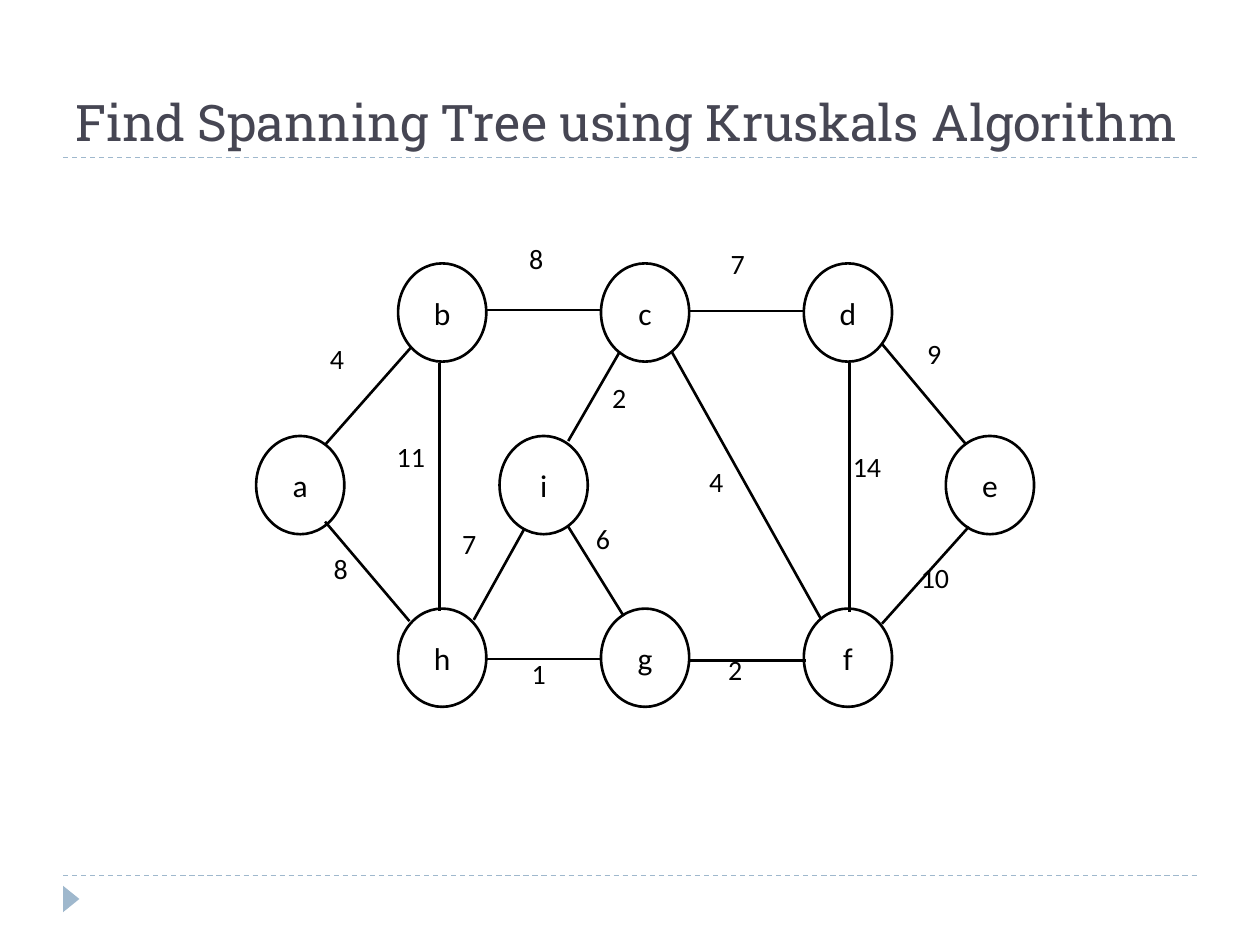
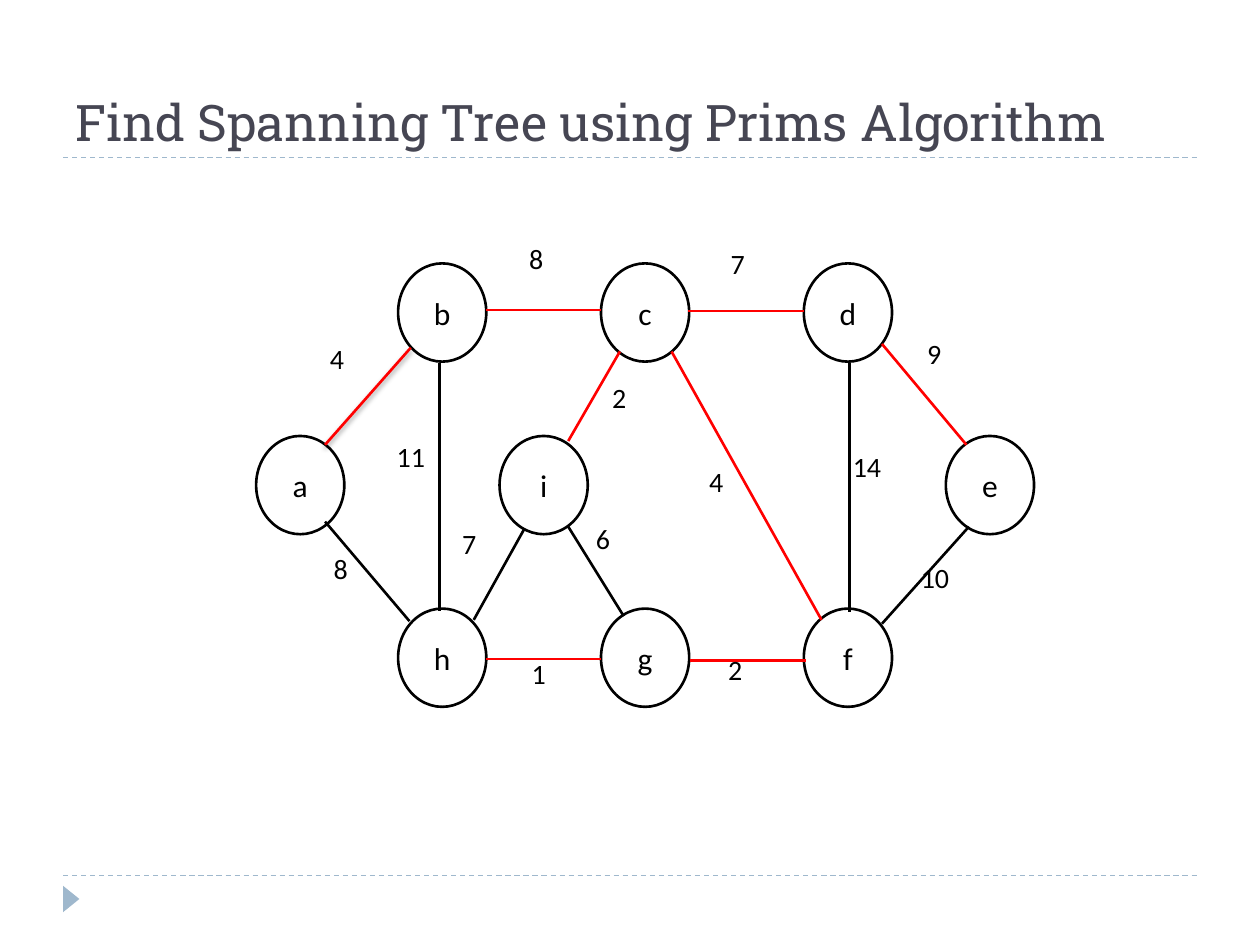
from dataclasses import dataclass
from typing import Any, NamedTuple

from lxml.etree import SubElement
from pptx import Presentation
from pptx.dml.color import RGBColor
from pptx.enum.dml import MSO_LINE_DASH_STYLE as Dash
from pptx.enum.shapes import MSO_CONNECTOR, MSO_SHAPE
from pptx.enum.text import MSO_ANCHOR as Anchor, MSO_AUTO_SIZE as AutoSize, PP_ALIGN as Align
from pptx.oxml.ns import qn
from pptx.util import Inches, Pt

SLIDE_WIDTH, SLIDE_HEIGHT = Inches(10), Inches(7.5)
UNIT = SLIDE_WIDTH / 10  # side of a square grid cell: 10 columns by 7.5 rows

INK = RGBColor(0x00, 0x00, 0x00)
TREE_RED = RGBColor(0xFF, 0x00, 0x00)
TITLE_GREY = RGBColor(0x46, 0x46, 0x53)
ACCENT = RGBColor(0x9F, 0xB8, 0xCD)

TITLE_FONT = {"name": "Roboto Slab", "size": Pt(28.8)}
NODE_FONT = {"name": "Calibri", "size": Pt(18)}
WEIGHT_FONT = {"name": "Calibri", "size": Pt(16)}

NODE_WIDTH, NODE_HEIGHT = 0.7, 0.78
FIRST_COLUMN, COLUMN_STEP = 3.51, 1.61
FIRST_ROW, ROW_STEP = 2.48, 1.37


class Point(NamedTuple):
    x: float
    y: float


@dataclass(frozen=True)
class Node:
    """A vertex placed by column and row of the graph."""
    name: str
    column: float
    row: int

    @property
    def center(self) -> Point:
        return Point(FIRST_COLUMN + self.column * COLUMN_STEP,
                     FIRST_ROW + self.row * ROW_STEP)


@dataclass(frozen=True)
class Edge:
    start: Point
    end: Point
    weight: int
    label: Point
    in_tree: bool = False
    raised: bool = False


@dataclass(frozen=True)
class GraphSlide:
    title: str
    title_width: float
    shows_tree: bool


NODES = [
    Node("a", -0.7, 1), Node("b", 0, 0), Node("c", 1, 0),
    Node("d", 2, 0), Node("e", 2.7, 1), Node("h", 0, 2),
    Node("g", 1, 2), Node("f", 2, 2), Node("i", 0.5, 1),
]

EDGES = [
    Edge(Point(3.49, 2.88), Point(3.49, 4.85), 11, Point(3.05, 3.44)),
    Edge(Point(6.74, 2.88), Point(6.74, 4.86), 14, Point(6.67, 3.52)),
    Edge(Point(3.86, 2.46), Point(4.77, 2.46), 8, Point(4.1, 1.87), True),
    Edge(Point(5.46, 2.47), Point(6.38, 2.47), 7, Point(5.7, 1.91), True),
    Edge(Point(3.86, 5.23), Point(4.77, 5.23), 1, Point(4.12, 5.16), True),
    Edge(Point(5.48, 5.24), Point(6.4, 5.24), 2, Point(5.68, 5.13), True),
    Edge(Point(2.58, 3.53), Point(3.26, 2.76), 4, Point(2.52, 2.66), True, True),
    Edge(Point(7, 4.95), Point(7.69, 4.18), 10, Point(7.21, 4.4)),
    Edge(Point(7, 2.73), Point(7.67, 3.53), 9, Point(7.26, 2.62), True),
    Edge(Point(2.58, 4.14), Point(3.25, 4.93), 8, Point(2.55, 4.33)),
    Edge(Point(5.33, 2.79), Point(6.52, 4.92), 4, Point(5.53, 3.64), True),
    Edge(Point(4.51, 4.18), Point(4.95, 4.89), 6, Point(4.63, 4.09)),
    Edge(Point(3.76, 4.92), Point(4.16, 4.2), 7, Point(3.57, 4.13)),
    Edge(Point(4.51, 3.5), Point(4.92, 2.79), 2, Point(4.76, 2.97), True),
]

GRAPH_SLIDES = [
    GraphSlide("Find Spanning Tree using Kruskals Algorithm", 9.5, False),
    GraphSlide("Find Spanning Tree using Prims Algorithm", 9, True),
]


def grid(*cells: float) -> list[int]:
    return [round(cell * UNIT) for cell in cells]


def set_format(target: Any, values: dict[str, Any]) -> None:
    for name, value in values.items():
        setattr(target, name, value)


def write(shape: Any, text: str, font: dict[str, Any], color: RGBColor,
          anchor: Anchor, align: Align) -> None:
    frame = shape.text_frame
    set_format(frame, {"text": text, "word_wrap": True,
                       "auto_size": AutoSize.NONE, "vertical_anchor": anchor})
    paragraph = frame.paragraphs[0]
    paragraph.alignment = align
    set_format(paragraph.runs[0].font, font)
    paragraph.runs[0].font.color.rgb = color


def draw_line(slide: Any, start: Point, end: Point, color: RGBColor,
              width: float, raised: bool = False) -> Any:
    """Draw a straight line, with a soft shadow below it when raised."""
    line = slide.shapes.add_connector(MSO_CONNECTOR.STRAIGHT, *grid(*start, *end))
    line.line.color.rgb = color
    line.line.width = Pt(width)
    effects = SubElement(line.element.spPr, qn("a:effectLst"))
    if raised:
        shadow = SubElement(effects, qn("a:outerShdw"), blurRad=str(Pt(3)),
                            dist=str(Pt(2)), dir="5400000", rotWithShape="0")
        shade = SubElement(shadow, qn("a:srgbClr"), val=str(INK))
        SubElement(shade, qn("a:alpha"), val="40000")
    return line


def draw_frame(slide: Any) -> None:
    """Draw the two dashed rules and the corner marker."""
    for y in (6.95, 1.25):
        rule = draw_line(slide, Point(0.5, y), Point(9.5, y), ACCENT, 0.75)
        rule.line.dash_style = Dash.DASH
    marker = slide.shapes.add_shape(MSO_SHAPE.ISOSCELES_TRIANGLE,
                                    *grid(0.46, 7.07, 0.21, 0.13))
    marker.rotation = 90
    marker.shadow.inherit = False
    marker.fill.solid()
    marker.fill.fore_color.rgb = ACCENT
    marker.line.fill.background()


def draw_title(slide: Any, text: str, width: float) -> None:
    title = slide.shapes.title
    left, top, wide, high = grid(0.5, 0.25, width, 1)
    set_format(title, {"left": left, "top": top, "width": wide, "height": high})
    write(title, text, TITLE_FONT, TITLE_GREY, Anchor.BOTTOM, Align.LEFT)


def draw_node(slide: Any, node: Node) -> None:
    x, y = node.center
    vertex = slide.shapes.add_shape(
        MSO_SHAPE.OVAL,
        *grid(x - NODE_WIDTH / 2, y - NODE_HEIGHT / 2, NODE_WIDTH, NODE_HEIGHT))
    vertex.shadow.inherit = False
    vertex.fill.background()
    vertex.line.color.rgb = INK
    vertex.line.width = Pt(1.5)
    write(vertex, node.name, NODE_FONT, INK, Anchor.MIDDLE, Align.CENTER)


def draw_weight(slide: Any, edge: Edge) -> None:
    text = str(edge.weight)
    label = slide.shapes.add_textbox(*grid(*edge.label, 0.3 + 0.19 * len(text), 0.62))
    write(label, text, WEIGHT_FONT, INK, Anchor.TOP, Align.LEFT)


def draw_graph(slide: Any, shows_tree: bool) -> None:
    for node in NODES:
        draw_node(slide, node)
    for edge in EDGES:
        color = TREE_RED if shows_tree and edge.in_tree else INK
        draw_line(slide, edge.start, edge.end, color, 1.5, shows_tree and edge.raised)
    for edge in EDGES:
        draw_weight(slide, edge)


def main() -> None:
    deck = Presentation()
    set_format(deck, {"slide_width": SLIDE_WIDTH, "slide_height": SLIDE_HEIGHT})
    title_only = deck.slide_layouts.get_by_name("Title Only")
    for content in GRAPH_SLIDES:
        slide = deck.slides.add_slide(title_only)
        draw_frame(slide)
        draw_graph(slide, content.shows_tree)
        draw_title(slide, content.title, content.title_width)
    deck.save("out.pptx")


if __name__ == "__main__":
    main()
